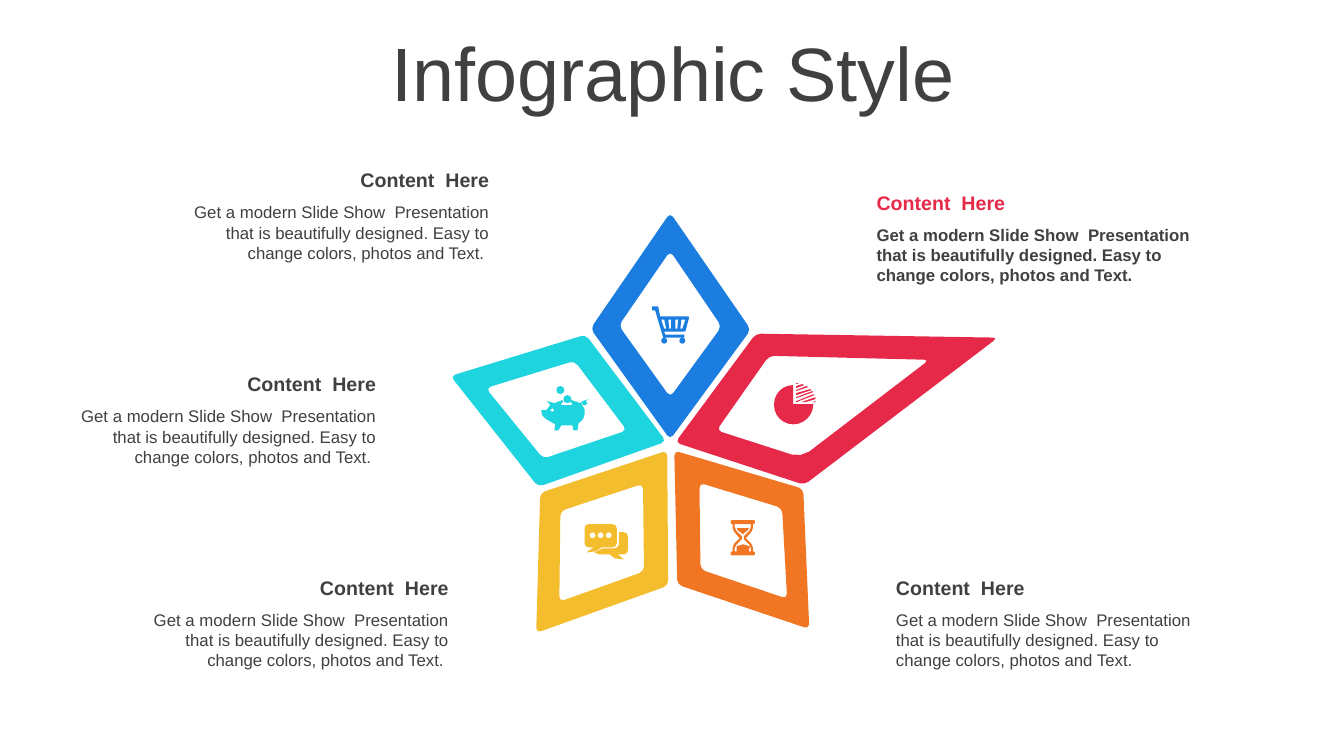
from math import dist
from pptx import Presentation
from pptx.dml.color import RGBColor as Rgb
from pptx.enum.text import MSO_ANCHOR as Anchor, PP_ALIGN as Align
from pptx.util import Cm, Pt

INCH = 2.54  # outlines are plotted on an inch grid
HUES = {"blue": "1C7DE1", "red": "E62949", "teal": "1ED4DE",
        "gold": "F4BD2D", "orange": "F07624", "dark": "404040"}

deck = Presentation()
deck.slide_width, deck.slide_height = Cm(33.87), Cm(19.05)
slide = deck.slides.add_slide(deck.slide_layouts[6])


def draw(hue, loops, cut=0):
    """Fill closed loops; a corner (x, y, r) is rounded by r, else by cut."""
    pen = None
    for loop in loops:
        dots = []
        for i, (x, y, *own) in enumerate(loop):
            r = own[0] if own else cut
            if not r:
                dots.append((x, y))
                continue
            ends = []
            for near in (loop[i - 1][:2], loop[(i + 1) % len(loop)][:2]):
                t = r / dist((x, y), near)
                ends.append((t * (near[0] - x), t * (near[1] - y)))
            (ax, ay), (bx, by) = ends
            # Larger corners get more steps
            count = 1 if r < 0.03 else 2 if r < 0.12 else 6
            for step in range(count + 1):
                t = step / count
                u = 1 - t
                p = u ** 3 + 1.35 * u * u * t
                q = t ** 3 + 1.35 * t * t * u
                dot = (x + p * ax + q * bx, y + p * ay + q * by)
                if not dots or dist(dot, dots[-1]) > 0.002:
                    dots.append(dot)
        dots = [(Cm(x * INCH), Cm(y * INCH)) for x, y in dots]
        if pen is None:
            pen = slide.shapes.build_freeform(*dots[0])
        else:
            pen.move_to(*dots[0])
        pen.add_line_segments(dots[1:], close=True)
    shape = pen.convert_to_shape()
    shape.shadow.inherit = False
    shape.fill.solid()
    shape.fill.fore_color.rgb = Rgb.from_string(HUES[hue])
    shape.line.fill.background()


def write(box, text, size, hue="dark", bold=False, align=Align.LEFT,
          anchor=Anchor.TOP):
    frame = slide.shapes.add_textbox(*[Cm(n) for n in box]).text_frame
    frame.word_wrap = True
    frame.vertical_anchor = anchor
    para = frame.paragraphs[0]
    para.alignment = align
    run = para.add_run()
    run.text = text
    font = run.font
    font.name, font.size, font.bold = "Arial", Pt(size), bold
    font.color.rgb = Rgb.from_string(HUES[hue])
    return para


# Title
title = write((0.89, 0.94, 32.16, 2.01), "Infographic Style", 54,
              align=Align.CENTER, anchor=Anchor.MIDDLE)
title.line_spacing = 0.9

# Star petals: outer and inner corners
petals = {
    "blue": ([(6.65, 2.11), (7.45, 3.27), (6.65, 4.36), (5.86, 3.26)],
             [(6.65, 2.49), (7.16, 3.24), (6.65, 3.94), (6.14, 3.23)]),
    "red": ([(7.5, 3.31), (9.9, 3.35), (7.98, 4.81), (6.7, 4.39)],
            [(7.63, 3.53), (9.22, 3.57), (7.95, 4.54, 0.1), (7.11, 4.27)]),
    "teal": ([(4.47, 3.73), (5.81, 3.32), (6.61, 4.38), (5.34, 4.83)],
             [(4.82, 3.85), (5.7, 3.58), (6.22, 4.27), (5.39, 4.55)]),
    "gold": ([(5.36, 4.89), (6.62, 4.47), (6.63, 5.81), (5.32, 6.28)],
             [(5.56, 5.07), (6.38, 4.8), (6.39, 5.67), (5.55, 5.97)]),
    "orange": ([(6.69, 4.47), (7.97, 4.85), (8.03, 6.24), (6.72, 5.8)],
               [(6.94, 4.79), (7.76, 5.04), (7.81, 5.94), (6.95, 5.65)]),
}
for hue, loops in petals.items():
    draw(hue, loops, 0.05)

# Icons: loops with corners, then discs as (x, y, radius)
pig = [
    [(5.84, 3.96), (5.81, 3.98), (5.83, 4), (5.81, 4.02), (5.78, 4.02),
     (5.78, 3.99), (5.77, 4.01), (5.8, 4.06), (5.8, 4.15, 0.04),
     (5.74, 4.2), (5.73, 4.27), (5.69, 4.27), (5.68, 4.22), (5.57, 4.22),
     (5.54, 4.27), (5.5, 4.27), (5.51, 4.21), (5.42, 4.16), (5.38, 4.12),
     (5.37, 4.07), (5.42, 4.07), (5.46, 4.02), (5.43, 3.98), (5.5, 4),
     (5.58, 3.97), (5.59, 3.99), (5.57, 4), (5.57, 4.02), (5.67, 4.02),
     (5.68, 4), (5.66, 3.99), (5.67, 3.97), (5.76, 4), (5.78, 3.98)]]
chart = [
    [(7.87, 4.01), (8.07, 4.01), (8.07, 4.21, 0.2), (7.68, 4.21, 0.19),
     (7.68, 3.82, 0.19), (7.87, 3.82)],
    [(8.09, 3.98), (8.09, 3.99), (8.05, 3.99)],
    [(8.09, 3.94), (8.09, 3.96), (7.99, 3.99), (7.95, 3.99)],
    [(8.07, 3.91), (8.08, 3.92), (7.9, 3.99), (7.9, 3.98)],
    [(8.06, 3.88), (8.07, 3.89), (7.9, 3.95), (7.9, 3.94)],
    [(8.04, 3.86), (8.05, 3.87), (7.9, 3.92), (7.9, 3.9)],
    [(8, 3.83), (8.02, 3.84), (7.9, 3.88), (7.9, 3.87)],
    [(7.96, 3.81), (7.98, 3.82), (7.9, 3.85), (7.9, 3.83)],
    [(7.9, 3.8), (7.93, 3.8), (7.9, 3.81)]]
chat = [
    [(5.8, 5.2, 0.04), (6.12, 5.2, 0.04), (6.12, 5.43, 0.04), (5.97, 5.43),
     (5.91, 5.47), (5.82, 5.48), (5.89, 5.43), (5.8, 5.43, 0.04)],
    [(6.14, 5.28), (6.23, 5.28, 0.04), (6.23, 5.5, 0.04), (6.13, 5.5),
     (6.19, 5.55), (6.1, 5.54), (6.05, 5.5), (5.94, 5.5), (5.9, 5.48),
     (5.98, 5.44), (6.14, 5.44, 0.04)]]
glass = [
    [(7.25, 5.16, 0.01), (7.49, 5.16, 0.01), (7.49, 5.2, 0.01), (7.47, 5.2),
     (7.47, 5.26, 0.02), (7.4, 5.34), (7.47, 5.41, 0.02), (7.47, 5.47),
     (7.49, 5.47, 0.01), (7.49, 5.51, 0.01), (7.25, 5.51, 0.01),
     (7.25, 5.47, 0.01), (7.27, 5.47), (7.27, 5.41, 0.02), (7.34, 5.34),
     (7.27, 5.26, 0.02), (7.27, 5.2), (7.25, 5.2, 0.01)],
    [(7.29, 5.2), (7.29, 5.25, 0.02), (7.36, 5.32), (7.36, 5.35),
     (7.29, 5.42, 0.02), (7.29, 5.47), (7.45, 5.47), (7.45, 5.42, 0.02),
     (7.38, 5.35), (7.38, 5.32), (7.45, 5.25, 0.02), (7.45, 5.2)],
    [(7.31, 5.24), (7.43, 5.24), (7.42, 5.26), (7.37, 5.3), (7.32, 5.26)],
    [(7.31, 5.47), (7.31, 5.42), (7.37, 5.4), (7.44, 5.42), (7.43, 5.47)]]
cart = [
    [(6.47, 3.04), (6.53, 3.04), (6.55, 3.14), (6.84, 3.14, 0.01),
     (6.8, 3.29, 0.01), (6.59, 3.29), (6.6, 3.32), (6.79, 3.32),
     (6.79, 3.35), (6.58, 3.35), (6.5, 3.08), (6.47, 3.08)],
    [(6.76, 3.17), (6.75, 3.26), (6.77, 3.26), (6.8, 3.17)],
    [(6.7, 3.17), (6.7, 3.26), (6.72, 3.26), (6.73, 3.17)],
    [(6.63, 3.17), (6.64, 3.26), (6.66, 3.26), (6.66, 3.17)],
    [(6.56, 3.17), (6.59, 3.26), (6.61, 3.26), (6.59, 3.17)]]
icons = [
    ("teal", pig, [(5.48, 4.07, 0.02), (5.63, 3.96, 0.04),
                   (5.56, 3.87, 0.04)]),
    ("red", chart, []),
    ("gold", chat, [(x, 5.31, 0.03) for x in (5.88, 5.96, 6.04)]),
    ("orange", glass, []),
    ("blue", cart, [(x, 3.38, 0.03) for x in (6.59, 6.77)]),
]
for hue, loops, discs in icons:
    rings = [[(x - r, y - r, r), (x + r, y - r, r),
              (x + r, y + r, r), (x - r, y + r, r)] for x, y, r in discs]
    draw(hue, loops + rings)

# Captions: left, top, width, side, heading colour, bold body
body = ("Get a modern Slide Show  Presentation that is beautifully designed. "
        "Easy to change colors, photos and Text.")
notes = [
    (4.5, 4.11, 8.08, Align.RIGHT, "dark", False),
    (3.48, 14.38, 8.08, Align.RIGHT, "dark", False),
    (1.65, 9.25, 8.08, Align.RIGHT, "dark", False),
    (21.84, 4.67, 8.56, Align.LEFT, "red", True),
    (22.33, 14.38, 8.08, Align.LEFT, "dark", False),
]
for left, top, width, side, hue, bold in notes:
    write((left, top, width, 0.86), "Content  Here", 14, hue, True, side,
          Anchor.MIDDLE)
    tail = " " if side == Align.RIGHT else ""
    write((left, top + 0.86, width, 1.8), body + tail, 12, "dark", bold, side)

deck.save("out.pptx")
